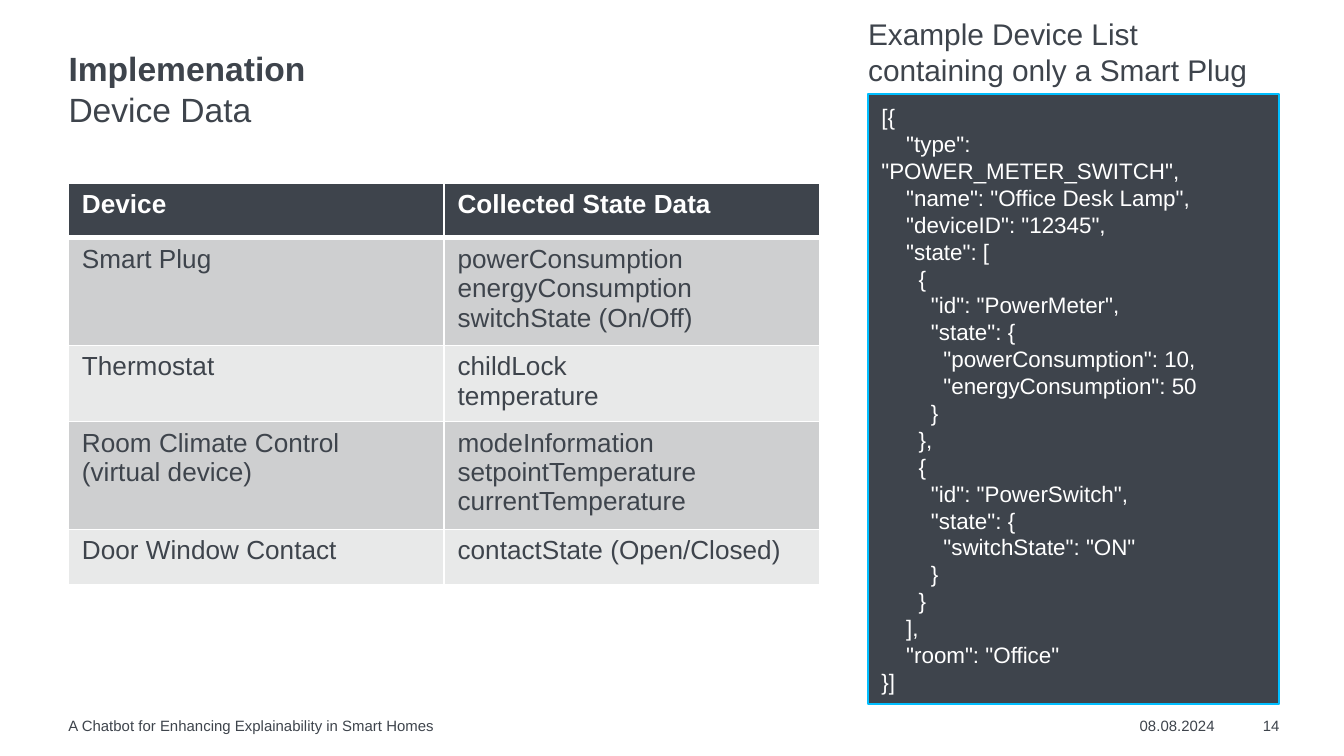
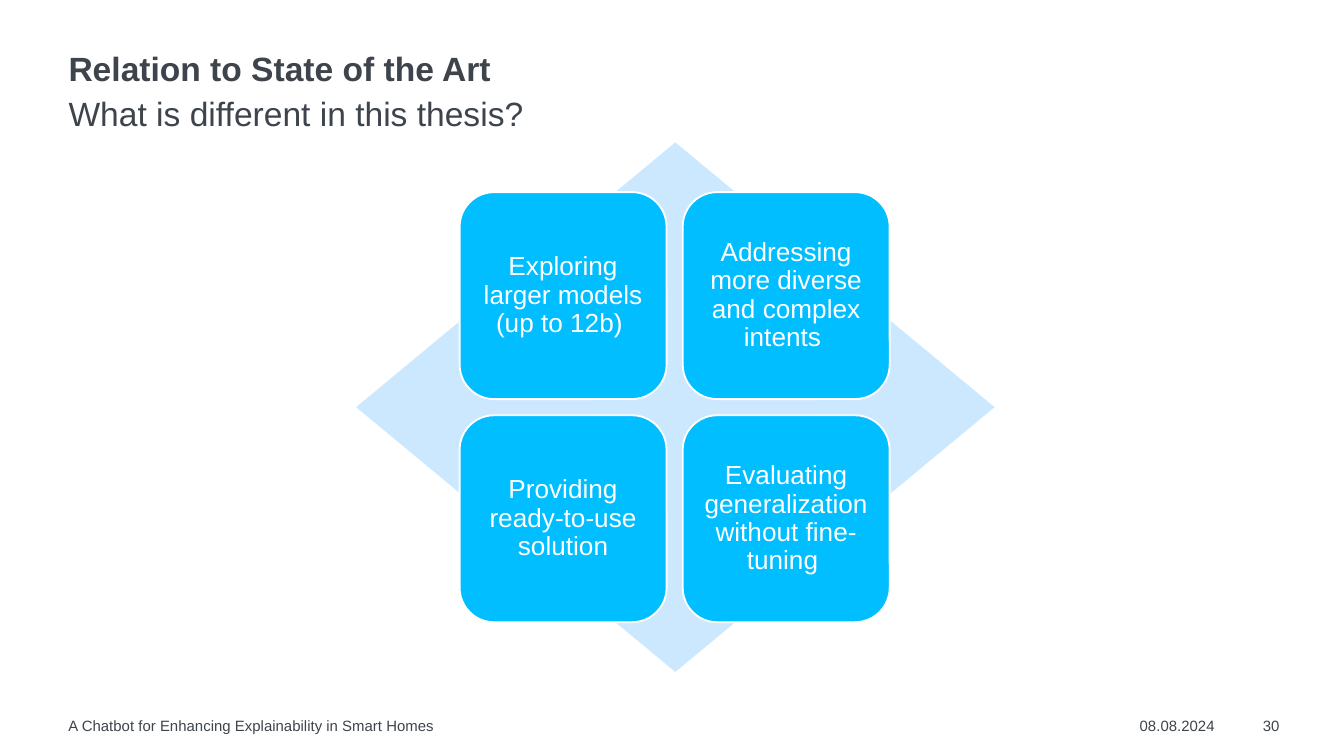
from lxml import etree
from pptx import Presentation
from pptx.dml.color import RGBColor
from pptx.enum.shapes import MSO_SHAPE
from pptx.enum.text import MSO_ANCHOR, PP_ALIGN
from pptx.oxml.ns import qn
from pptx.util import Inches, Pt

TOP, MIDDLE, BOTTOM = MSO_ANCHOR.TOP, MSO_ANCHOR.MIDDLE, MSO_ANCHOR.BOTTOM
LEFT, CENTER, RIGHT = PP_ALIGN.LEFT, PP_ALIGN.CENTER, PP_ALIGN.RIGHT
RECT, ROUND, DIAMOND = MSO_SHAPE.RECTANGLE, MSO_SHAPE.ROUNDED_RECTANGLE, MSO_SHAPE.DIAMOND

COLORS = {
    "dark": "3E444C",
    "cyan": "00BEFF",
    "pale": "CCE8FF",
    "white": "FFFFFF",
    "odd": "CECFD0",
    "even": "E8E9E9",
}
FONT = "Arial"
EDGE = 0.51
FOOTER = "A Chatbot for Enhancing Explainability in Smart Homes"
DATE = "08.08.2024"

CODE = """[{
    "type": "POWER_METER_SWITCH",
    "name": "Office Desk Lamp",
    "deviceID": "12345",
    "state": [
      {
        "id": "PowerMeter",
        "state": {
          "powerConsumption": 10,
          "energyConsumption": 50
        }
      },
      {
        "id": "PowerSwitch",
        "state": {
          "switchState": "ON"
        }
      }
    ],
    "room": "Office"
}]"""


def rgb(name):
    return RGBColor.from_string(COLORS[name])


def write(frame, text, size=18, color="dark", bold=False, align=LEFT, space=1.0):
    """Fill a text frame, one paragraph a line; a vertical tab breaks a line."""
    for i, line in enumerate(text.split("\n")):
        para = frame.paragraphs[0] if i == 0 else frame.add_paragraph()
        para.text = line
        para.alignment = align
        para.line_spacing = space
        for run in para.runs:
            run.font.name = FONT
            run.font.size = Pt(size)
            run.font.bold = bold
            run.font.color.rgb = rgb(color)


prs = Presentation()
prs.slide_width = Inches(10)
prs.slide_height = prs.slide_width * 9 // 16

# Titles, subtitles and footers
pages = [
    ("Implemenation", "Device Data", 0.6, 0.27, "14"),
    ("Relation to State of the Art", "What is different in this thesis?", 0.63, 0.3, "30"),
]
slides = []
for title, sub, sub_top, sub_high, number in pages:
    slide = prs.slides.add_slide(prs.slide_layouts[6])
    slides.append(slide)
    labels = [
        (title, EDGE, 0.39, 9.02, 0.47, TOP, dict(bold=True, space=0.9)),
        (sub, EDGE, sub_top, 9.02, sub_high, TOP, dict(space=1.2)),
        (FOOTER, EDGE, 5.33, 6.63, 0.13, TOP, dict(size=8)),
        (DATE, 8.48, 5.33, 0.58, 0.13, TOP, dict(size=8)),
        (number, 9.28, 5.33, 0.24, 0.13, TOP, dict(size=8, align=RIGHT)),
    ]
    if slide is slides[0]:
        caption = "Example Device List \vcontaining only a Smart Plug"
        labels.append((caption, 6.46, 0.1, 3.06, 0.55, BOTTOM, dict(size=16)))
    for text, x, y, w, h, anchor, style in labels:
        box = slide.shapes.add_textbox(Inches(x), Inches(y), Inches(w), Inches(h))
        frame = box.text_frame
        frame.word_wrap = True
        frame.vertical_anchor = anchor
        frame.margin_left = frame.margin_right = 0
        frame.margin_top = frame.margin_bottom = 0
        write(frame, text, **style)

# Device table: rows grow with their text
devices = [
    ("Device", "Collected State Data"),
    ("Smart Plug", "powerConsumption\nenergyConsumption\nswitchState (On/Off)"),
    ("Thermostat", "childLock\ntemperature"),
    ("Room Climate Control\n(virtual device)",
     "modeInformation\nsetpointTemperature\ncurrentTemperature"),
    ("Door Window Contact", "contactState (Open/Closed)"),
]
table = slides[0].shapes.add_table(
    len(devices), 2, Inches(EDGE), Inches(1.36), Inches(5.59), Inches(2.91)).table
for r, texts in enumerate(devices):
    table.rows[r].height = Inches(0.41)
    head = r == 0
    for c, text in enumerate(texts):
        cell = table.cell(r, c)
        cell.fill.solid()
        cell.fill.fore_color.rgb = rgb("dark" if head else "odd" if r % 2 else "even")
        write(cell.text_frame, text, size=14, bold=head, color="white" if head else "dark")
        if head:
            rule = etree.Element(qn("a:lnB"), w=str(Pt(3)))
            paint = etree.SubElement(rule, qn("a:solidFill"))
            etree.SubElement(paint, qn("a:srgbClr"), val=COLORS["white"])
            cell.fill._xPr.insert(0, rule)

# Code panel, diamond and its four tiles
SIDE, STEP = 1.54, 1.66
points = [
    "Exploring larger models (up to 12b) ",
    "Addressing more diverse and complex intents ",
    "Providing\vready-to-use solution",
    "Evaluating generalization without fine-tuning ",
]
blocks = [
    (slides[0], RECT, 6.46, 0.7, 3.06, 4.54, "dark", "cyan", CODE, 0.1, dict(size=12)),
    (slides[1], DIAMOND, 2.65, 1.06, 4.75, 3.94, "pale", None, "", 0.1, {}),
]
for i, point in enumerate(points):
    row, col = divmod(i, 2)
    blocks.append((slides[1], ROUND, 3.42 + col * STEP, 1.43 + row * STEP, SIDE, SIDE,
                   "cyan", "white", point, 0.06, dict(size=14, align=CENTER, space=0.9)))

for slide, kind, x, y, w, h, fill, line, text, inset, style in blocks:
    shape = slide.shapes.add_shape(kind, Inches(x), Inches(y), Inches(w), Inches(h))
    shape.shadow.inherit = False
    shape.fill.solid()
    shape.fill.fore_color.rgb = rgb(fill)
    if line:
        shape.line.color.rgb = rgb(line)
        shape.line.width = Pt(1)
    else:
        shape.line.fill.background()
    if text:
        frame = shape.text_frame
        frame.word_wrap = True
        frame.vertical_anchor = MIDDLE
        frame.margin_left = frame.margin_right = Inches(inset)
        write(frame, text, color="white", **style)

prs.save("out.pptx")
